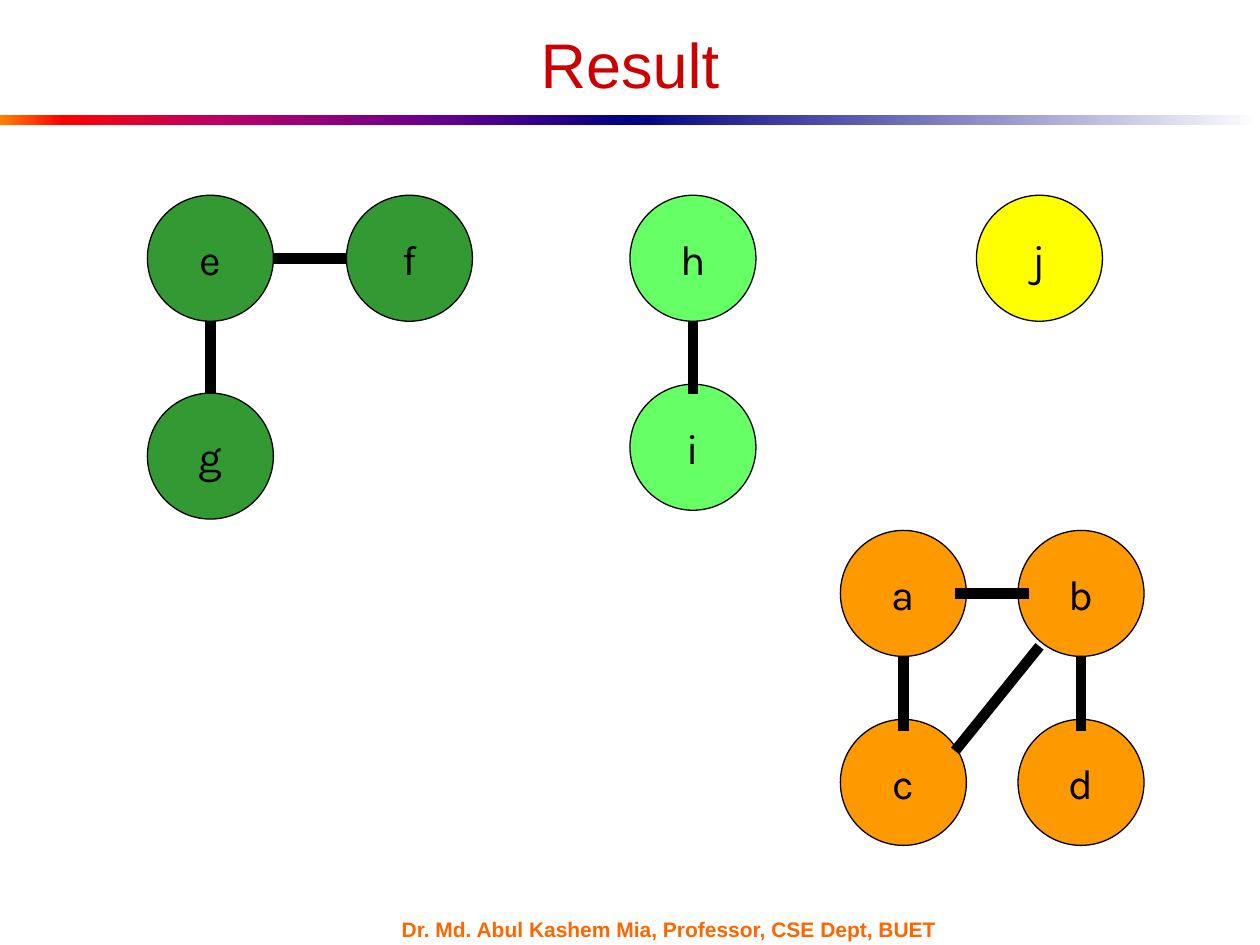
from lxml import etree
from pptx import Presentation
from pptx.dml.color import RGBColor
from pptx.enum import shapes, text
from pptx.oxml.ns import qn
from pptx.util import Inches, Pt

BLACK = RGBColor(0x00, 0x00, 0x00)
RED = RGBColor(0xCC, 0x00, 0x00)
FOOTER_ORANGE = RGBColor(0xFF, 0x66, 0x00)
DARK_GREEN = RGBColor(0x33, 0x99, 0x33)
LIGHT_GREEN = RGBColor(0x66, 0xFF, 0x66)
YELLOW = RGBColor(0xFF, 0xFF, 0x00)
ORANGE = RGBColor(0xFF, 0x99, 0x00)
NAVY = RGBColor(0x00, 0x00, 0x82)
WHITE = RGBColor(0xFF, 0xFF, 0xFF)
WARM_STOPS = [
    (0, RGBColor(0xFF, 0x82, 0x00)),
    (10, RGBColor(0xFF, 0x00, 0x00)),
    (35, RGBColor(0xBA, 0x00, 0x66)),
    (70, RGBColor(0x66, 0x00, 0x8F)),
    (100, NAVY),
]
COOL_STOPS = [(0, NAVY), (100, WHITE)]

NODE_SIZE = 1

# fill, left, top, nodes (name, x, y), edges (x1, y1, x2, y2)
COMPONENTS = [
    (DARK_GREEN, 1.17, 1.55,
     [("e", 0, 0), ("f", 1.58, 0), ("g", 0, 1.57)],
     [(0.5, 1, 0.5, 1.58), (1, 0.5, 1.58, 0.5)]),
    (LIGHT_GREEN, 5, 1.55,
     [("h", 0, 0), ("i", 0, 1.5)],
     [(0.5, 1, 0.5, 1.58)]),
    (YELLOW, 7.75, 1.55, [("j", 0, 0)], []),
    (ORANGE, 6.67, 4.21,
     [("a", 0, 0), ("b", 1.41, 0), ("c", 0, 1.5), ("d", 1.41, 1.5)],
     [(0.5, 1, 0.5, 1.59), (1.91, 1, 1.91, 1.59),
      (0.91, 0.5, 1.5, 0.5), (0.91, 1.75, 1.58, 0.92)]),
]


def add_text(slide, box, content, size, color, alignment, bold=False, wrap=True):
    """Place one line of text, vertically centred, in the given box."""
    frame = slide.shapes.add_textbox(*map(Inches, box)).text_frame
    frame.word_wrap = wrap
    frame.vertical_anchor = text.MSO_ANCHOR.MIDDLE
    paragraph = frame.paragraphs[0]
    paragraph.text = content
    paragraph.alignment = alignment
    font = paragraph.font
    font.name, font.size, font.bold = "Arial", Pt(size), bold
    font.color.rgb = color


def add_gradient_bar(slide, box, stops):
    """Draw a bar whose colour runs from left to right through the stops."""
    bar = slide.shapes.add_shape(shapes.MSO_SHAPE.RECTANGLE, *map(Inches, box))
    bar.shadow.inherit = False
    bar.line.fill.background()
    bar.fill.gradient()
    bar.fill.gradient_angle = 0
    stop_list = bar._element.spPr.find(f".//{qn('a:gsLst')}")
    for stop in list(stop_list):
        stop_list.remove(stop)
    for position, color in stops:
        stop = etree.SubElement(stop_list, qn("a:gs"), pos=str(position * 1000))
        etree.SubElement(stop, qn("a:srgbClr"), val=str(color))


def add_rule(slide, left, top, width, height):
    """Draw the two-part gradient rule below the title."""
    half = width / 2
    for index, stops in enumerate((WARM_STOPS, COOL_STOPS)):
        add_gradient_bar(slide, (left + index * half, top, half, height), stops)


def add_node(slide, left, top, name, color):
    """Draw one labelled graph node."""
    node = slide.shapes.add_shape(
        shapes.MSO_SHAPE.OVAL, *map(Inches, (left, top, NODE_SIZE, NODE_SIZE)))
    node.shadow.inherit = False
    node.fill.solid()
    node.fill.fore_color.rgb = color
    node.line.color.rgb = BLACK
    node.line.width = Pt(0.75)
    frame = node.text_frame
    frame.word_wrap = False
    frame.vertical_anchor = text.MSO_ANCHOR.MIDDLE
    paragraph = frame.paragraphs[0]
    paragraph.text = name
    paragraph.alignment = text.PP_ALIGN.CENTER
    paragraph.font.name = "Karla"
    paragraph.font.size = Pt(24)
    paragraph.font.color.rgb = BLACK


def add_edge(slide, *ends):
    """Draw one thick graph edge between two points."""
    edge = slide.shapes.add_connector(
        shapes.MSO_CONNECTOR.STRAIGHT, *map(Inches, ends))
    edge.line.color.rgb = BLACK
    edge.line.width = Pt(6)
    etree.SubElement(edge._element.spPr, qn("a:effectLst"))


def add_component(slide, color, left, top, nodes, edges):
    """Draw a connected component with its nodes below its edges."""
    for name, x, y in nodes:
        add_node(slide, left + x, top + y, name, color)
    for x1, y1, x2, y2 in edges:
        add_edge(slide, left + x1, top + y1, left + x2, top + y2)


def main():
    """Build the slide and save it."""
    presentation = Presentation()
    presentation.slide_width, presentation.slide_height = Inches(10), Inches(7.5)
    slide = presentation.slides.add_slide(presentation.slide_layouts[6])
    add_rule(slide, 0, 0.91, 10, 0.08)
    add_text(slide, (3.09, 7.28, 4.67, 0.18),
             "Dr. Md. Abul Kashem Mia, Professor, CSE Dept, BUET",
             12, FOOTER_ORANGE, text.PP_ALIGN.LEFT, bold=True, wrap=False)
    add_text(slide, (0.5, 0.25, 9, 0.51), "Result", 36, RED, text.PP_ALIGN.CENTER)
    for component in COMPONENTS:
        add_component(slide, *component)
    presentation.save("out.pptx")


if __name__ == "__main__":
    main()
